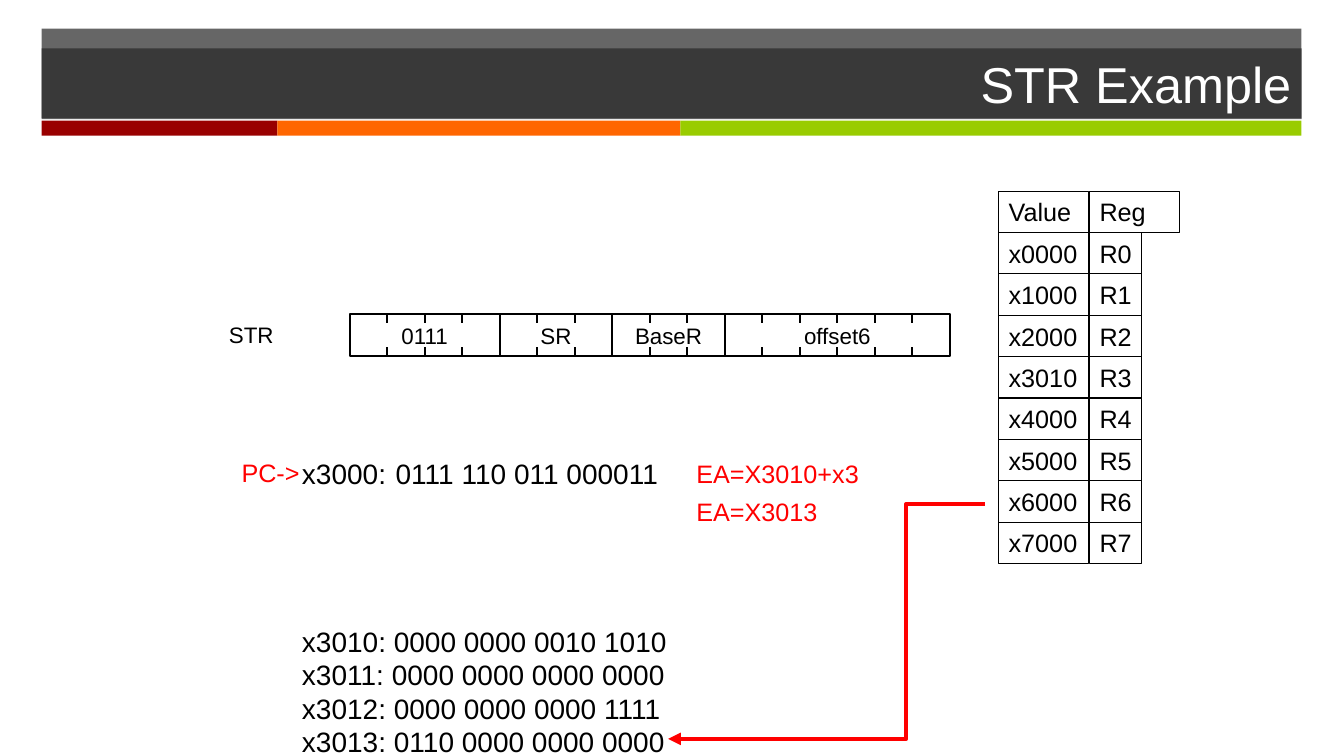
from dataclasses import dataclass

from lxml.etree import SubElement
from pptx import Presentation
from pptx.dml.color import RGBColor
from pptx.enum.shapes import MSO_CONNECTOR, MSO_SHAPE
from pptx.enum.text import MSO_ANCHOR, PP_ALIGN
from pptx.oxml.ns import qn
from pptx.util import Cm, Pt


@dataclass(frozen=True)
class Theme:
    font: str = "Arial"
    ink: str = "000000"
    accent: str = "FF0000"
    title_ink: str = "FFFFFF"
    band: str = "262626"
    band_alpha: int = 70
    stripes: tuple = ("990000", "FF6600", "99CC00")
    title_size: int = 36
    code_size: int = 20
    body_size: int = 18
    field_size: int = 16


@dataclass(frozen=True)
class Box:
    left: float
    top: float
    width: float
    height: float

    def lengths(self):
        return [Cm(value) for value in (self.left, self.top, self.width, self.height)]


THEME = Theme()


def style_text(shape, lines, size, color=THEME.ink, align=PP_ALIGN.LEFT, wrap=True):
    frame = shape.text_frame
    frame.word_wrap = wrap
    frame.text = "\n".join(lines)
    for para in frame.paragraphs:
        para.alignment = align
        for span in para.runs:
            span.font.name = THEME.font
            span.font.size = Pt(size)
            span.font.color.rgb = RGBColor.from_string(color)
    return frame


def add_text(page, box, lines, size, color=THEME.ink, align=PP_ALIGN.LEFT):
    return style_text(page.shapes.add_textbox(*box.lengths()), lines, size, color, align)


def fill_solid(shape, color, alpha=None):
    shape.fill.solid()
    shape.fill.fore_color.rgb = RGBColor.from_string(color)
    if alpha is not None:
        tone = shape._element.spPr.find(qn("a:solidFill")).find(qn("a:srgbClr"))
        SubElement(tone, qn("a:alpha"), val=str(alpha * 1000))


def add_block(page, box, color, alpha=None):
    block = page.shapes.add_shape(MSO_SHAPE.RECTANGLE, *box.lengths())
    block.shadow.inherit = False
    block.line.fill.background()
    fill_solid(block, color, alpha)
    return block


def add_cell(page, box, text, size, line_width, align=PP_ALIGN.LEFT):
    cell = page.shapes.add_shape(MSO_SHAPE.RECTANGLE, *box.lengths())
    cell.shadow.inherit = False
    cell.fill.background()
    cell.line.color.rgb = RGBColor.from_string(THEME.ink)
    cell.line.width = Pt(line_width)
    style_text(cell, [text], size, align=align, wrap=False).vertical_anchor = MSO_ANCHOR.MIDDLE


def add_line(page, kind, start, end, color, width):
    line = page.shapes.add_connector(kind, *[Cm(value) for value in (*start, *end)])
    line.line.color.rgb = RGBColor.from_string(color)
    line.line.width = Pt(width)
    SubElement(line._element.spPr, qn("a:effectLst"))
    return line


def draw_header(page, box, text):
    # Title over the lower part of the translucent band
    title = page.shapes.title
    title.left, title.top, title.width, title.height = Box(
        box.left, box.top + 0.5, box.width, 1.78).lengths()
    fill_solid(title, THEME.band, THEME.band_alpha)
    frame = style_text(title, [text], THEME.title_size, THEME.title_ink, PP_ALIGN.RIGHT)
    frame.vertical_anchor = MSO_ANCHOR.MIDDLE
    band = add_block(page, Box(box.left, box.top, box.width, 2.26), THEME.band, THEME.band_alpha)
    title._element.addprevious(band._element)

    # Three-colour stripe
    left = box.left
    for color, width in zip(THEME.stripes, (5.94, 10.16, 15.65)):
        add_block(page, Box(left, box.top + 2.32, width, 0.38), color)
        left += width


def draw_instruction(page, box, name, fields):
    bit_width = box.width / sum(bits for _, bits in fields)
    tick = 0.23
    left = box.left
    for label, bits in fields:
        field = Box(left, box.top, bits * bit_width, box.height)
        add_cell(page, field, label, THEME.field_size, 1.5, PP_ALIGN.CENTER)
        # Bit marks on the upper and lower edges
        for bit in range(1, bits):
            x = left + bit * bit_width
            for y in (box.top, box.top + box.height - tick):
                add_line(page, MSO_CONNECTOR.STRAIGHT, (x, y), (x, y + tick), THEME.ink, 1.5)
        left += field.width
    add_text(page, Box(box.left - 3.29, box.top + 0.07, 2, 0.94), [name], THEME.field_size)


def draw_registers(page, box, values):
    row_height = box.height / (len(values) + 1)
    value_width, name_width = 2.26, 1.32
    name_left = box.left + box.width - value_width
    rows = [("Value", "Reg")] + [(value, f"R{index}") for index, value in enumerate(values)]
    for index, (value, name) in enumerate(rows):
        top = box.top + index * row_height
        width = name_width if index else value_width
        add_cell(page, Box(box.left, top, value_width, row_height), value, THEME.body_size, 0.75)
        add_cell(page, Box(name_left, top, width, row_height), name, THEME.body_size, 0.75)


def draw_memory(page, box, instruction, data):
    # Instruction address
    frame = add_text(page, Box(box.left, box.top, box.width, 1.12), [instruction], THEME.code_size)
    properties = frame.paragraphs[0]._p.get_or_add_pPr()
    tabs = SubElement(properties, qn("a:tabLst"))
    SubElement(tabs, qn("a:tab"), pos=str(Cm(2.36)), algn="l")

    # Data addresses
    add_text(page, Box(box.left, box.top + 4.22, box.width, 3.4), data, THEME.code_size)


def draw_notes(page, box, pointer, steps):
    add_text(page, Box(box.left, box.top, 3.2, 1.02), [pointer],
             THEME.body_size, THEME.accent, PP_ALIGN.RIGHT)
    for index, step in enumerate(steps):
        add_text(page, Box(box.left + 12.7, box.top + 0.03 + index * 0.95, 5.69, 1.02),
                 [step], THEME.body_size, THEME.accent)


def draw_store_arrow(page, box):
    arrow = add_line(page, MSO_CONNECTOR.ELBOW, (box.left, box.top + box.height),
                     (box.left + box.width, box.top), THEME.accent, 3)
    properties = arrow._element.spPr
    guides = properties.find(qn("a:prstGeom")).get_or_add_avLst()
    SubElement(guides, qn("a:gd"), name="adj1", fmla="val 75200")
    SubElement(properties.find(qn("a:ln")), qn("a:headEnd"), type="triangle")


def draw_str_example(page):
    draw_header(page, Box(1.05, 0.72, 31.75, 2.7), "STR Example")
    draw_memory(page, Box(7.36, 11.38, 11.25, 7.62),
                "x3000:\t0111 110 011 000011",
                ["x3010: 0000 0000 0010 1010", "x3011: 0000 0000 0000 0000",
                 "x3012: 0000 0000 0000 1111", "x3013: 0110 0000 0000 0000"])
    draw_instruction(page, Box(8.81, 7.91, 15.13, 1.07), "STR",
                     [("0111", 4), ("SR", 3), ("BaseR", 3), ("offset6", 6)])
    draw_registers(page, Box(25.17, 4.82, 4.55, 9.38),
                   ["x0000", "x1000", "x2000", "x3010", "x4000", "x5000", "x6000", "x7000"])
    draw_notes(page, Box(4.6, 11.4, 18.39, 2), "PC->", ["EA=X3010+x3", "EA=X3013"])
    draw_store_arrow(page, Box(16.84, 12.7, 7.98, 5.92))


def main():
    deck = Presentation()
    deck.slide_width, deck.slide_height = Cm(33.87), Cm(19.05)
    draw_str_example(deck.slides.add_slide(deck.slide_layouts[5]))
    deck.save("out.pptx")


if __name__ == "__main__":
    main()
